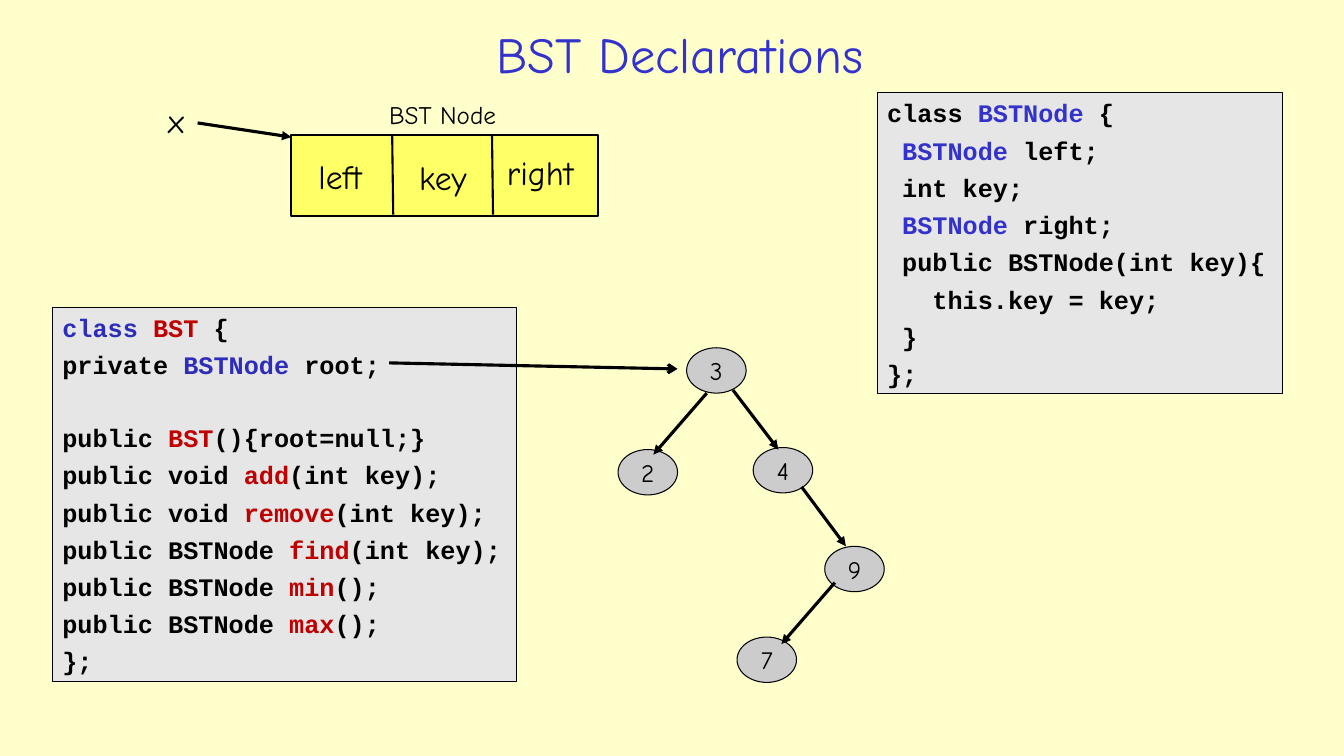
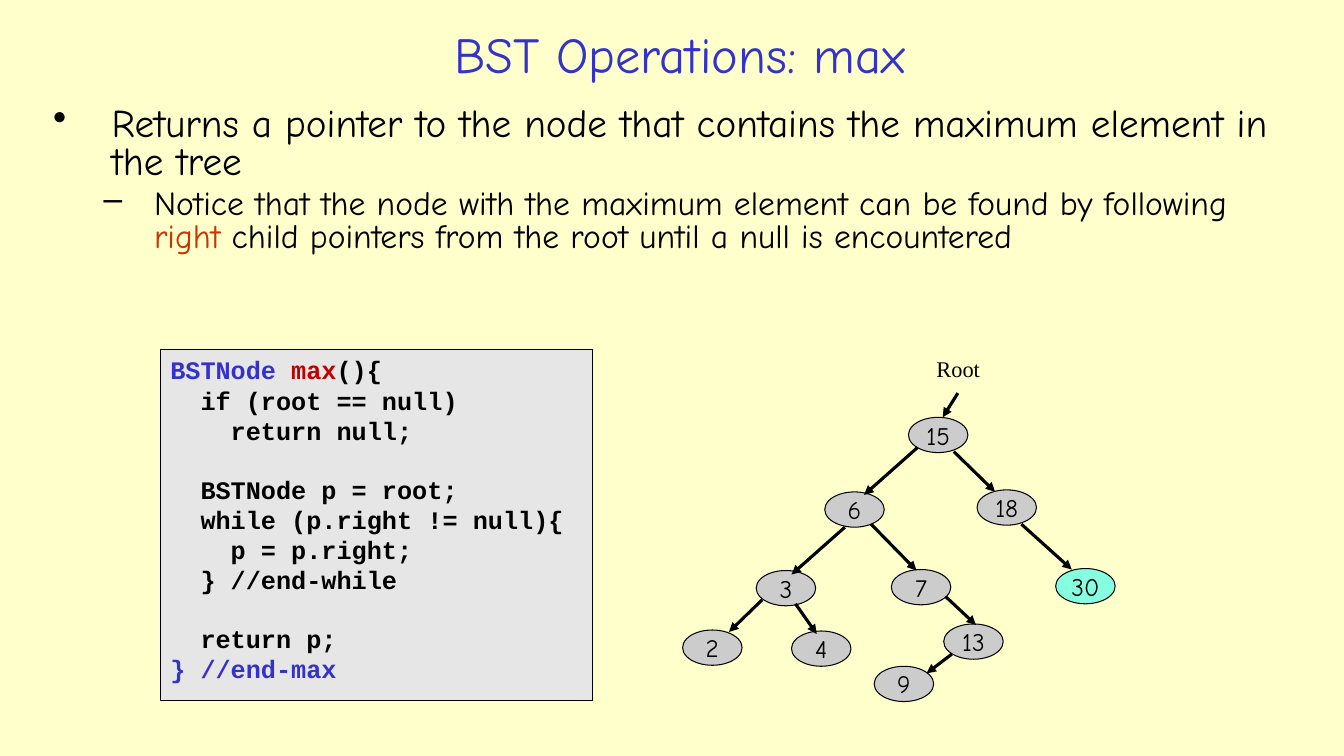
from dataclasses import dataclass

from pptx import Presentation
from pptx.dml.color import RGBColor
from pptx.enum.shapes import MSO_CONNECTOR as Connector, MSO_SHAPE as Preset
from pptx.enum.text import MSO_ANCHOR as Anchor, MSO_AUTO_SIZE as AutoSize, PP_ALIGN as Align
from pptx.oxml.ns import qn
from pptx.oxml.xmlchemy import OxmlElement
from pptx.util import Pt

EMU_PER_PX = 9144  # 100 px to the inch


def px(*lengths):
    return [length * EMU_PER_PX for length in lengths]


@dataclass(frozen=True)
class Theme:
    paper: str = "FFFFCC"
    ink: str = "000000"
    blue: str = "3333CC"
    navy: str = "2D2DB9"
    crimson: str = "C00000"
    rust: str = "CC3300"
    panel: str = "E6E6E6"
    node: str = "CCCCCC"
    highlight: str = "85FFE0"
    record: str = "FFFF66"
    body_font: str = "Comic Neue"
    code_font: str = "Courier New"
    serif_font: str = "Times New Roman"
    title_size: int = 36
    bullet_size: int = 28
    label_size: int = 24
    small_size: int = 18
    root_size: int = 16
    thin: float = 0.75
    medium: float = 1.5
    thick: float = 2.25
    para_gap: int = 5
    code_line: float = 20.4


THEME = Theme()


class Deck:
    """Holds the style and the page being drawn."""

    def __init__(self, theme):
        self.theme = theme
        self.show = Presentation()
        self.show.slide_width, self.show.slide_height = px(1333, 750)
        self.paint(self.show.slide_master.background, theme.paper)
        self.page = None

    def paint(self, target, colour):
        target.fill.solid()
        target.fill.fore_color.rgb = RGBColor.from_string(colour)

    def outline(self, target, width):
        target.line.color.rgb = RGBColor.from_string(self.theme.ink)
        target.line.width = Pt(width)

    def style(self, font, size, colour=None, name=None, bold=False):
        font.name = name or self.theme.body_font
        font.size = Pt(size)
        font.bold = bold
        font.color.rgb = RGBColor.from_string(colour or self.theme.ink)

    def add_spans(self, para, spans, size, **look):
        """Fill a paragraph with plain strings and (text, colour) pairs."""
        for span in spans:
            text, colour = (span, None) if isinstance(span, str) else span
            run = para.add_run()
            run.text = text
            self.style(run.font, size, colour, **look)

    def add_page(self, title):
        self.page = self.show.slides.add_slide(self.show.slide_layouts[5])
        box = self.page.shapes.title
        box.left, box.top, box.width, box.height = px(197, 15, 954, 76)
        box.text_frame.text = title
        box.text_frame.vertical_anchor = Anchor.MIDDLE
        para = box.text_frame.paragraphs[0]
        para.alignment = Align.CENTER
        self.style(para.runs[0].font, self.theme.title_size, self.theme.blue)

    def shape(self, preset, bounds, fill, width):
        shape = self.page.shapes.add_shape(preset, *px(*bounds))
        shape.shadow.inherit = False
        self.paint(shape, fill)
        self.outline(shape, width)
        return shape

    def label(self, text, bounds, size, name=None):
        frame = self.page.shapes.add_textbox(*px(*bounds)).text_frame
        frame.word_wrap = False
        frame.auto_size = AutoSize.SHAPE_TO_FIT_TEXT
        frame.text = text
        self.style(frame.paragraphs[0].runs[0].font, size, name=name)

    def line(self, start, end, width, head=None):
        connector = self.page.shapes.add_connector(
            Connector.STRAIGHT, *px(*start, *end))
        self.outline(connector, width)
        properties = connector.element.spPr
        if head:
            tail = OxmlElement("a:tailEnd")
            tail.set("type", head)
            properties.find(qn("a:ln")).append(tail)
        properties.append(OxmlElement("a:effectLst"))

    def arrow(self, start, end, head="triangle"):
        self.line(start, end, self.theme.thick, head)

    def tree(self, nodes, edges, height, marked=None):
        """Draw nodes (text, left, top) and arrows between points."""
        theme = self.theme
        for text, left, top in nodes:
            fill = theme.highlight if text == marked else theme.node
            node = self.shape(Preset.OVAL, (left, top, 59, height), fill, theme.thin)
            frame = node.text_frame
            frame.word_wrap = False
            frame.vertical_anchor = Anchor.MIDDLE
            frame.text = text
            para = frame.paragraphs[0]
            para.alignment = Align.CENTER
            self.style(para.runs[0].font, theme.small_size)
        for start, end in edges:
            self.arrow(start, end)

    def code(self, bounds, lines, gap=0):
        """Draw a code panel; None stands for a one-line gap."""
        theme = self.theme
        frame = self.shape(Preset.RECTANGLE, bounds, theme.panel, theme.thin).text_frame
        frame.word_wrap = True
        frame.vertical_anchor = Anchor.TOP
        para, before = frame.paragraphs[0], 0
        for number, spans in enumerate(lines):
            if spans is None:
                before += theme.code_line + gap
                continue
            if number:
                para = frame.add_paragraph()
                para.space_before = Pt(before)
            para.alignment = Align.LEFT
            self.add_spans(para, spans, theme.small_size, name=theme.code_font, bold=True)
            before = gap

    def bullets(self, bounds, items):
        """Add (level, mark, size, margin, hang, spans) paragraphs."""
        frame = self.page.shapes.add_textbox(*px(*bounds)).text_frame
        frame.word_wrap = True
        for number, (level, mark, size, margin, hang, spans) in enumerate(items):
            para = frame.add_paragraph() if number else frame.paragraphs[0]
            properties = para._p.get_or_add_pPr()
            left, indent = px(margin, -hang)
            properties.set("marL", str(left))
            properties.set("indent", str(indent))
            bullet = OxmlElement("a:buChar")
            bullet.set("char", mark)
            properties.append(bullet)
            para.level = level
            para.line_spacing = 0.8
            if number:
                para.space_before = Pt(self.theme.para_gap)
            self.add_spans(para, spans, size)


def declarations(deck):
    theme = deck.theme
    deck.add_page("BST Declarations")

    # Node record with its three fields
    deck.shape(Preset.RECTANGLE, (289, 134, 304, 80), theme.record, theme.medium)
    for text, bounds in (
        ("left", (306, 150, 81, 51)),
        ("key", (406, 151, 74, 51)),
        ("right", (493, 146, 99, 51)),
        ("x", (157, 94, 40, 51)),
    ):
        deck.label(text, bounds, theme.label_size)
    deck.label("BST Node", (376, 94, 145, 40), theme.small_size)
    deck.arrow((196, 122), (289, 136))
    for left in (389, 488):
        deck.line((left, 135), (left + 1, 213), theme.medium)

    # Class listings
    node_type = ("BSTNode", theme.blue)
    deck.code((870, 92, 402, 298), [
        ["class ", ("BSTNode ", theme.blue), "{"],
        [" ", node_type, " left;"],
        [" int key;"],
        [" ", node_type, " right;"],
        [" public BSTNode(int key){"],
        ["   this.key = key;"],
        [" }"],
        ["};"],
    ], theme.para_gap)

    methods = (
        ("void", "add", "(int key);"),
        ("void", "remove", "(int key);"),
        ("BSTNode", "find", "(int key);"),
        ("BSTNode", "min", "();"),
        ("BSTNode", "max", "();"),
    )
    deck.code((52, 305, 460, 371), [
        [("class ", theme.navy), ("BST", theme.crimson), " {"],
        ["private ", ("BSTNode", theme.navy), " root;"],
        None,
        ["public ", ("BST", theme.crimson), "(){root=null;}"],
        *([f"public {kind} ", (name, theme.crimson), rest]
          for kind, name, rest in methods),
        ["};"],
    ], theme.para_gap)

    # Example tree
    deck.tree(
        nodes=[("3", 681, 345), ("2", 613, 446), ("4", 747, 444),
               ("9", 818, 542), ("7", 731, 632)],
        edges=[((701, 390), (648, 451)), ((727, 387), (772, 446)),
               ((795, 483), (839, 542)), ((828, 578), (775, 639))],
        height=45)
    deck.arrow((386, 360), (672, 366), "arrow")


def max_operation(deck):
    theme = deck.theme
    deck.add_page("BST Operations: max")

    # Explanation
    deck.bullets((43, 102, 1254, 195), [
        (0, "•", theme.bullet_size, 58, 58,
         ["Returns a pointer to the node that contains the maximum element in the tree"]),
        (1, "–", theme.label_size, 100, 50,
         ["Notice that the node with the maximum element can be found by following ",
          ("right ", theme.rust),
          "child pointers from the root until a null is encountered"]),
    ])

    # Example tree, largest key marked
    deck.label("Root", (919, 347, 66, 37), theme.root_size, theme.serif_font)
    deck.tree(
        nodes=[("15", 901, 414), ("6", 818, 488), ("18", 969, 486),
               ("30", 1047, 564), ("3", 750, 566), ("7", 884, 565),
               ("2", 677, 625), ("4", 785, 626), ("13", 936, 619),
               ("9", 867, 661)],
        edges=[((950, 390), (935, 414)), ((910, 444), (857, 491)),
               ((946, 448), (987, 488)), ((1013, 520), (1063, 565)),
               ((838, 523), (785, 570)), ((864, 520), (909, 566)),
               ((756, 595), (723, 627)), ((789, 599), (810, 629)),
               ((938, 592), (968, 620)), ((944, 649), (919, 668))],
        height=35, marked="30")

    # Method listing
    deck.code((159, 347, 429, 348), [
        [("BSTNode ", theme.blue), ("max", theme.crimson), "(){"],
        ["  if (root == null)"],
        ["    return null;"],
        None,
        ["  BSTNode p = root;"],
        ["  while (p.right != null){"],
        ["    p = p.right;"],
        ["  } //end-while"],
        None,
        ["  return p;"],
        [("} //end-max", theme.blue)],
    ])


def main():
    deck = Deck(THEME)
    declarations(deck)
    max_operation(deck)
    deck.show.save("out.pptx")


if __name__ == "__main__":
    main()
